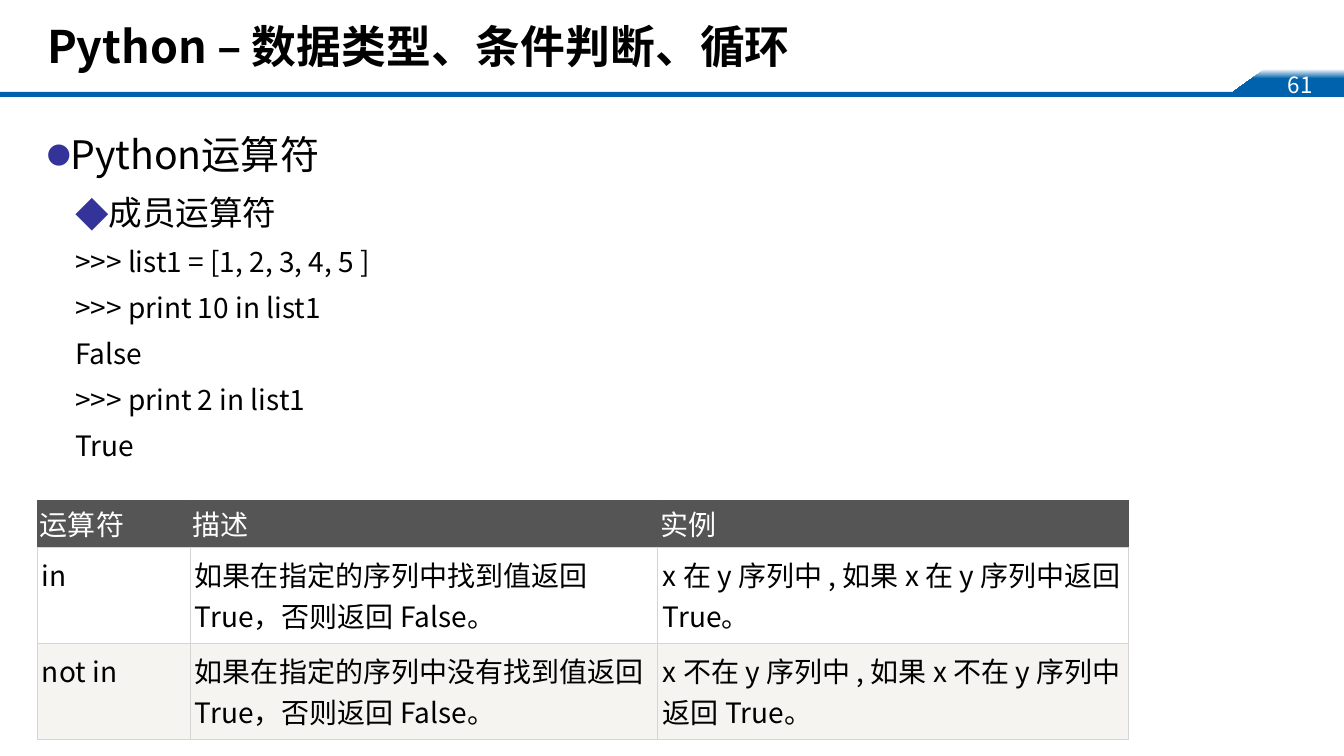
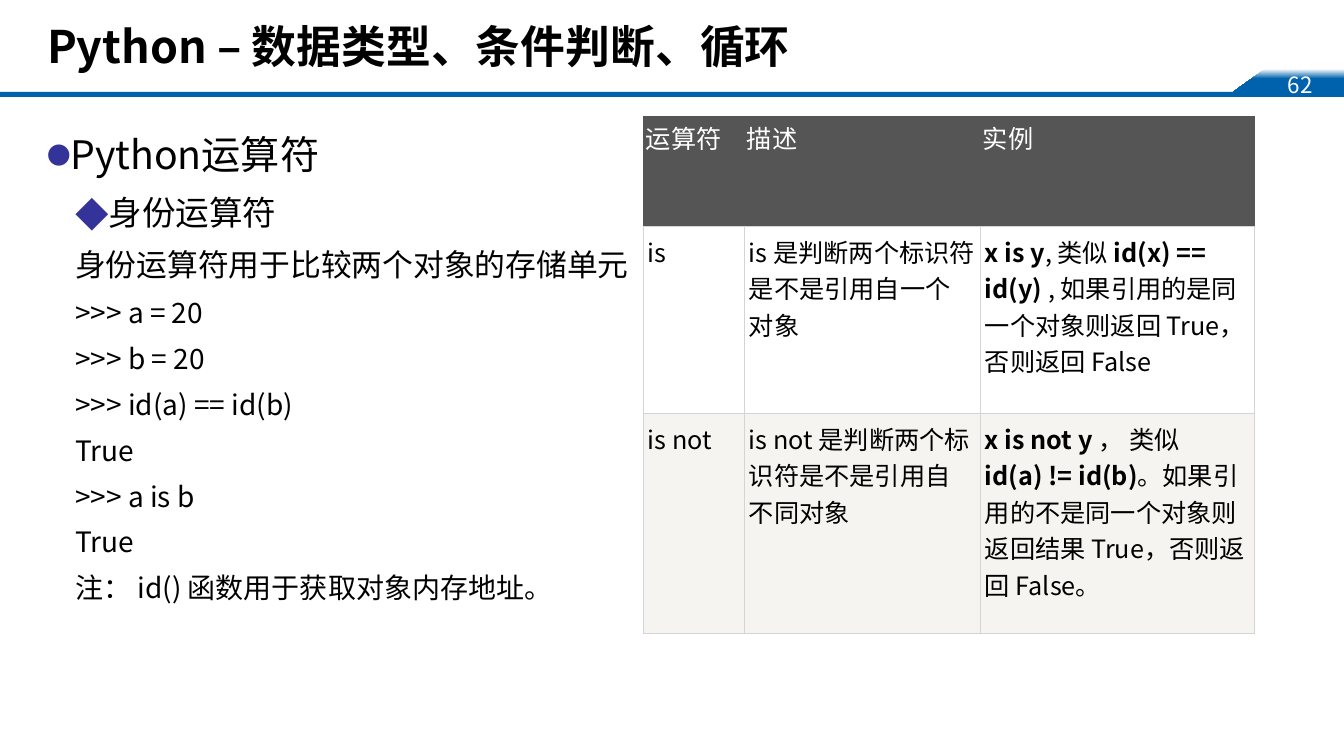
from lxml import etree
from pptx import Presentation
from pptx import util as u
from pptx.dml.color import RGBColor
from pptx.enum import shapes, text
from pptx.oxml import ns

PX = 914400 / 100.8
FONT = "Noto Sans CJK SC"
COLORS = {
    "black": "000000",
    "white": "FFFFFF",
    "band": "0062AC",
    "bullet": "333399",
    "header": "555555",
    "border": "D4D4D4",
    "stripe": "F6F4F0",
}
TITLE = "Python – 数据类型、条件判断、循环"
HEADINGS = ("运算符", "描述", "实例")

# kind: (level, left margin, first-line indent, bullet, bullet percent, size)
LINE_KINDS = {
    "topic": (0, 21, -21, "●", 60, 28),
    "subtopic": (1, 46, -18, "◆", 100, 24),
    "lead": (1, 28, 0, None, None, 22),
    "code": (1, 28, 0, None, None, 20),
}

MEMBER_LINES = [
    ("topic", "Python运算符"),
    ("subtopic", "成员运算符"),
    ("code", ">>> list1 = [1, 2, 3, 4, 5 ]"),
    ("code", ">>> print 10 in list1"),
    ("code", "False"),
    ("code", ">>> print 2 in list1"),
    ("code", "True"),
]
MEMBER_ROWS = [
    HEADINGS,
    ("in", "如果在指定的序列中找到值返回 True，否则返回 False。",
     "x 在 y 序列中 , 如果 x 在 y 序列中返回 True。"),
    ("not in", "如果在指定的序列中没有找到值返回 True，否则返回 False。",
     "x 不在 y 序列中 , 如果 x 不在 y 序列中返回 True。"),
]
IDENTITY_LINES = [
    ("topic", "Python运算符"),
    ("subtopic", "身份运算符"),
    ("lead", "身份运算符用于比较两个对象的存储单元"),
    ("code", ">>> a = 20"),
    ("code", ">>> b = 20"),
    ("code", ">>> id(a) == id(b)"),
    ("code", "True"),
    ("code", ">>> a is b"),
    ("code", "True"),
    ("code", "注： id() 函数用于获取对象内存地址。"),
]
IDENTITY_ROWS = [
    HEADINGS,
    ("is", "is 是判断两个标识符是不是引用自一个对象",
     "**x is y**, 类似 **id(x) == id(y)** , 如果引用的是同一个对象则返回 True，否则返回 False"),
    ("is not", "is not 是判断两个标识符是不是引用自不同对象",
     "**x is not y** ， 类似 **id(a) != id(b)**。如果引用的不是同一个对象则返回结果 True，否则返回 False。"),
]


def px(length):
    return u.Emu(round(length * PX))


def box(*lengths):
    return [px(length) for length in lengths]


def rgb(name):
    return RGBColor.from_string(COLORS[name])


def add_xml(parent, tag, **attributes):
    return etree.SubElement(parent, ns.qn(tag), attributes)


def add_solid(parent, tag, color):
    add_xml(add_xml(parent, tag), "a:srgbClr", val=COLORS[color])


def write(paragraph, content, size, color="black", bold=False):
    """Add runs to a paragraph; parts between ** marks are bold."""
    for index, part in enumerate(content.split("**")):
        if not part:
            continue
        run = paragraph.add_run()
        run.text = part
        font = run.font
        font.name, font.size = FONT, u.Pt(size)
        font.bold = bold or index % 2 == 1
        font.color.rgb = rgb(color)
        add_xml(font._element, "a:ea", typeface=FONT)


def prepare_layout(layout, slide):
    """Place the placeholders and move the bands from the slide to its layout."""
    places = {0: (37, 0, 1270, 92), 1: (37, 116, 1270, 588)}
    for placeholder in list(layout.placeholders):
        place = places.get(placeholder.placeholder_format.idx)
        if place:
            (placeholder.left, placeholder.top,
             placeholder.width, placeholder.height) = box(*place)
        else:
            placeholder.element.getparent().remove(placeholder.element)

    builder = slide.shapes.build_freeform(1344, 93, scale=PX)
    builder.add_line_segments([(1233, 92), (1265, 69), (1344, 69)], close=True)
    tab = builder.convert_to_shape()
    tab.fill.gradient()
    tab.fill.gradient_angle = 270
    for stop, position, color in zip(tab.fill.gradient_stops, (0, 0.4), ("white", "band")):
        stop.position = position
        stop.color.rgb = rgb(color)

    band = slide.shapes.add_shape(shapes.MSO_SHAPE.RECTANGLE, *box(0, 92, 1344, 5))
    band.fill.solid()
    band.fill.fore_color.rgb = rgb("band")
    for shape in (tab, band):
        shape.shadow.inherit = False
        shape.line.fill.background()
        layout.shapes.element.append(shape.element)


def add_number(slide, number):
    frame = slide.shapes.add_textbox(*box(1278, 66, 69, 31)).text_frame
    frame.word_wrap = True
    write(frame.paragraphs[0], str(number), size=16, color="white")


def fill_title(slide):
    paragraph = slide.shapes.title.text_frame.paragraphs[0]
    paragraph.alignment = text.PP_ALIGN.LEFT
    write(paragraph, TITLE, size=32, bold=True)


def fill_body(slide, lines):
    frame = slide.placeholders[1].text_frame
    frame.auto_size = text.MSO_AUTO_SIZE.NONE
    for index, (kind, content) in enumerate(lines):
        paragraph = frame.add_paragraph() if index else frame.paragraphs[0]
        level, margin, indent, bullet, percent, size = LINE_KINDS[kind]
        paragraph.level = level
        paragraph.line_spacing = 1.2
        properties = paragraph._p.get_or_add_pPr()
        properties.set("marL", str(px(margin)))
        properties.set("indent", str(px(indent)))
        if bullet:
            add_solid(properties, "a:buClr", "bullet")
            add_xml(properties, "a:buSzPct", val=str(percent * 1000))
            add_xml(properties, "a:buFont", typeface=FONT)
            add_xml(properties, "a:buChar", char=bullet)
        else:
            add_xml(properties, "a:buNone")
        write(paragraph, content, size)


def format_cell(cell, content, size, row):
    header = row == 0
    properties = cell._tc.get_or_add_tcPr()
    for side in "LRTB":
        line = add_xml(properties, f"a:ln{side}", w=str(u.Pt(0.75)))
        add_solid(line, "a:solidFill", "header" if header and side != "B" else "border")
    cell.fill.solid()
    cell.fill.fore_color.rgb = rgb("header" if header else ("stripe", "white")[row % 2])
    cell.margin_left = cell.margin_right = px(3 if header else 5)
    cell.margin_top = cell.margin_bottom = px(3 if header else 7)
    write(cell.text_frame.paragraphs[0], content, size, "white" if header else "black")


def add_operator_table(slide, rows, left, top, widths, heights, size):
    table = slide.shapes.add_table(
        len(rows), len(widths), *box(left, top, sum(widths), sum(heights))).table
    for column, width in zip(table.columns, widths):
        column.width = px(width)
    for row, (height, contents) in enumerate(zip(heights, rows)):
        table.rows[row].height = px(height)
        for column, content in enumerate(contents):
            format_cell(table.cell(row, column), content, size, row)


def main():
    presentation = Presentation()
    presentation.slide_width, presentation.slide_height = box(1344, 756)
    layout = presentation.slide_layouts[1]
    pages = [
        (61, MEMBER_LINES, dict(rows=MEMBER_ROWS, left=37, top=500, size=20,
                                widths=(153, 468, 471), heights=(47, 96, 96))),
        (62, IDENTITY_LINES, dict(rows=IDENTITY_ROWS, left=643, top=116, size=18,
                                  widths=(101, 236, 275), heights=(110, 187, 221))),
    ]
    for index, (number, lines, table) in enumerate(pages):
        slide = presentation.slides.add_slide(layout)
        if index == 0:
            prepare_layout(layout, slide)
        add_number(slide, number)
        fill_title(slide)
        fill_body(slide, lines)
        add_operator_table(slide, **table)
    presentation.save("out.pptx")


if __name__ == "__main__":
    main()
